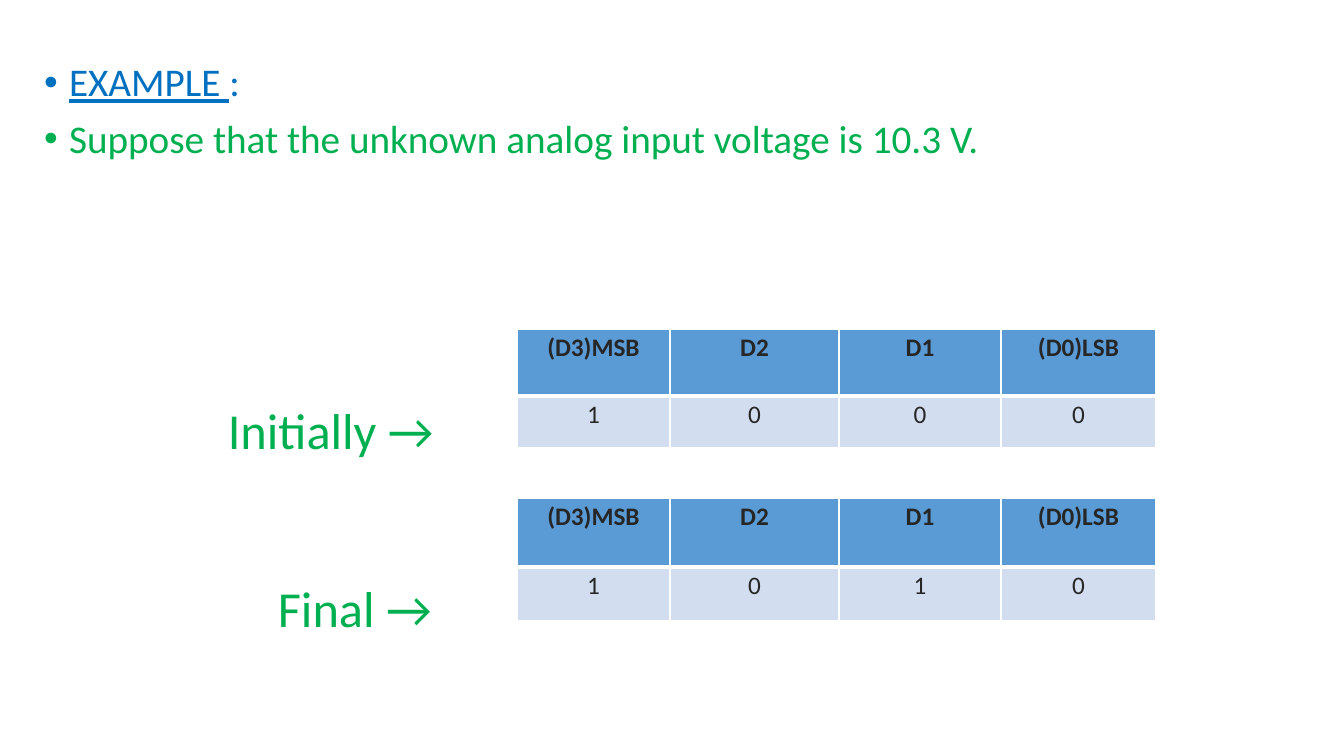
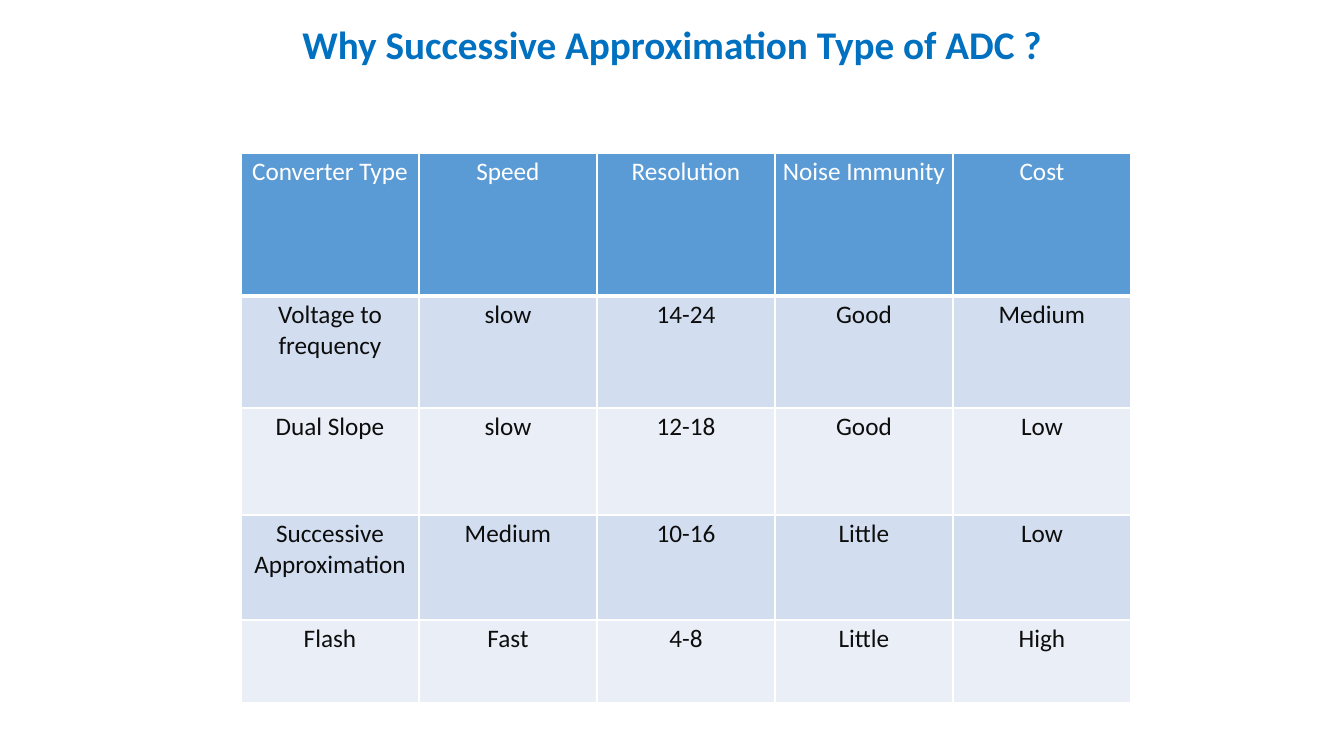
import pptx
import pptx.util
import pptx.dml.color
import pptx.enum.text
import pptx.oxml
import pptx.oxml.ns
import lxml.etree

RGBColor = pptx.dml.color.RGBColor
BLUE = RGBColor(0x00, 0x70, 0xC0)
GREEN = RGBColor(0x00, 0xB0, 0x50)
HEADER = RGBColor(0x5B, 0x9B, 0xD5)
BANDS = (RGBColor(0xD2, 0xDE, 0xEF), RGBColor(0xEA, 0xEF, 0xF7))
DARK = RGBColor(0x26, 0x26, 0x26)
BLACK = RGBColor(0x0D, 0x0D, 0x0D)
WHITE = RGBColor(0xFF, 0xFF, 0xFF)
FONT = "Calibri"
CENTER = pptx.enum.text.PP_ALIGN.CENTER
QN = pptx.oxml.ns.qn

SLIDE_SIZE = (1344, 756)
EMU_PER_PX = 12192000 / SLIDE_SIZE[0]

EXAMPLE_LINES = [
    [("EXAMPLE ", BLUE, True), (":", BLUE, False)],
    [("Suppose that the unknown analog input voltage is 10.3 V.", GREEN, False)],
]
EXAMPLE_AREA = (34, 58, 1276, 698)

BIT_NAMES = ["(D3)MSB", "D2", "D1", "(D0)LSB"]
BIT_WIDTHS = [153, 169, 162, 155]
REGISTERS = [
    {"label": "Initially → ", "label_area": (157, 394, 359, 72),
     "bits": "1000", "top": 329, "heights": [67, 52]},
    {"label": "Final → ", "label_area": (204, 572, 313, 72),
     "bits": "1010", "top": 498, "heights": [69, 54]},
]
REGISTER_LEFT = 517

COMPARISON_TITLE = "Why Successive Approximation Type of ADC ?"
TITLE_AREA = (37, 15, 1270, 57)
CONVERTERS = [
    ["Converter Type", "Speed", "Resolution", "Noise Immunity", "Cost"],
    ["Voltage to frequency", "slow", "14-24", "Good", "Medium"],
    ["Dual Slope", "slow", "12-18", "Good", "Low"],
    ["Successive Approximation", "Medium", "10-16", "Little", "Low"],
    ["Flash", "Fast", "4-8", "Little", "High"],
]
CONVERTER_WIDTHS = [178] * 5
CONVERTER_HEIGHTS = [143, 112, 107, 105, 83]


def px(length):
    return pptx.util.Emu(round(length * EMU_PER_PX))


def place(shape, area):
    shape.left, shape.top, shape.width, shape.height = map(px, area)


def add_span(para, text, size, color, bold=False, underline=False):
    span = para.add_run()
    span.text = text
    span.font.name = FONT
    span.font.size = pptx.util.Pt(size)
    span.font.color.rgb = color
    span.font.bold = bold
    span.font.underline = underline


def set_bullet(para):
    properties = para._p.get_or_add_pPr()
    properties.set("marL", str(px(25)))
    properties.set("indent", str(px(-25)))
    lxml.etree.SubElement(properties, QN("a:buFont")).set("typeface", "Arial")
    lxml.etree.SubElement(properties, QN("a:buChar")).set("char", "•")


def set_borders(cell, widths):
    properties = cell._tc.get_or_add_tcPr()
    for side, width in widths.items():
        line = lxml.etree.SubElement(properties, QN("a:ln" + side))
        line.set("w", str(pptx.util.Pt(width)))
        fill = lxml.etree.SubElement(line, QN("a:solidFill"))
        lxml.etree.SubElement(fill, QN("a:srgbClr")).set("val", str(WHITE))


def add_grid(slide, left, top, widths, heights, rows, header_color, header_bold, body_color):
    area = (left, top, sum(widths), sum(heights))
    table = slide.shapes.add_table(len(rows), len(widths), *map(px, area)).table
    for column, width in zip(table.columns, widths):
        column.width = px(width)
    for row, height in zip(table.rows, heights):
        row.height = px(height)
    for row_index, texts in enumerate(rows):
        is_header = row_index == 0
        for column_index, text in enumerate(texts):
            cell = table.cell(row_index, column_index)
            set_borders(cell, {"L": 1, "R": 1,
                               "T": 3 if row_index == 1 else 1,
                               "B": 3 if is_header else 1})
            cell.fill.solid()
            cell.fill.fore_color.rgb = HEADER if is_header else BANDS[(row_index - 1) % 2]
            cell.margin_left = cell.margin_right = px(7)
            cell.margin_top = cell.margin_bottom = px(4)
            para = cell.text_frame.paragraphs[0]
            para.alignment = CENTER
            add_span(para, text, 18, header_color if is_header else body_color,
                     bold=is_header and header_bold)


def add_centered_line(box, area, text, size, color, bold=False):
    place(box, area)
    frame = box.text_frame
    frame.word_wrap = True
    frame.auto_size = pptx.enum.text.MSO_AUTO_SIZE.NONE
    frame.vertical_anchor = pptx.enum.text.MSO_ANCHOR.TOP
    para = frame.paragraphs[0]
    para.alignment = CENTER
    add_span(para, text, size, color, bold)


def build_example(deck):
    slide = deck.slides.add_slide(deck.slide_layouts[1])
    title = slide.shapes.title._element
    title.getparent().remove(title)
    body = slide.placeholders[1]
    place(body, EXAMPLE_AREA)
    frame = body.text_frame
    frame.auto_size = pptx.enum.text.MSO_AUTO_SIZE.NONE
    for index, spans in enumerate(EXAMPLE_LINES):
        para = frame.add_paragraph() if index else frame.paragraphs[0]
        para.line_spacing = 0.9
        para.space_before = pptx.util.Pt(10 if index else 0)
        set_bullet(para)
        for text, color, underline in spans:
            add_span(para, text, 28, color, underline=underline)
    for register in REGISTERS:
        add_grid(slide, REGISTER_LEFT, register["top"], BIT_WIDTHS, register["heights"],
                 [BIT_NAMES, list(register["bits"])], DARK, True, DARK)
        area = register["label_area"]
        label = slide.shapes.add_textbox(*map(px, area))
        add_centered_line(label, area, register["label"], 36, GREEN)


def build_comparison(deck):
    slide = deck.slides.add_slide(deck.slide_layouts[5])
    add_grid(slide, 241, 153, CONVERTER_WIDTHS, CONVERTER_HEIGHTS, CONVERTERS,
             WHITE, False, BLACK)
    add_centered_line(slide.shapes.title, TITLE_AREA, COMPARISON_TITLE, 28, BLUE, bold=True)


def main():
    deck = pptx.Presentation()
    deck.slide_width, deck.slide_height = map(px, SLIDE_SIZE)
    build_example(deck)
    build_comparison(deck)
    deck.save("out.pptx")


if __name__ == "__main__":
    main()
